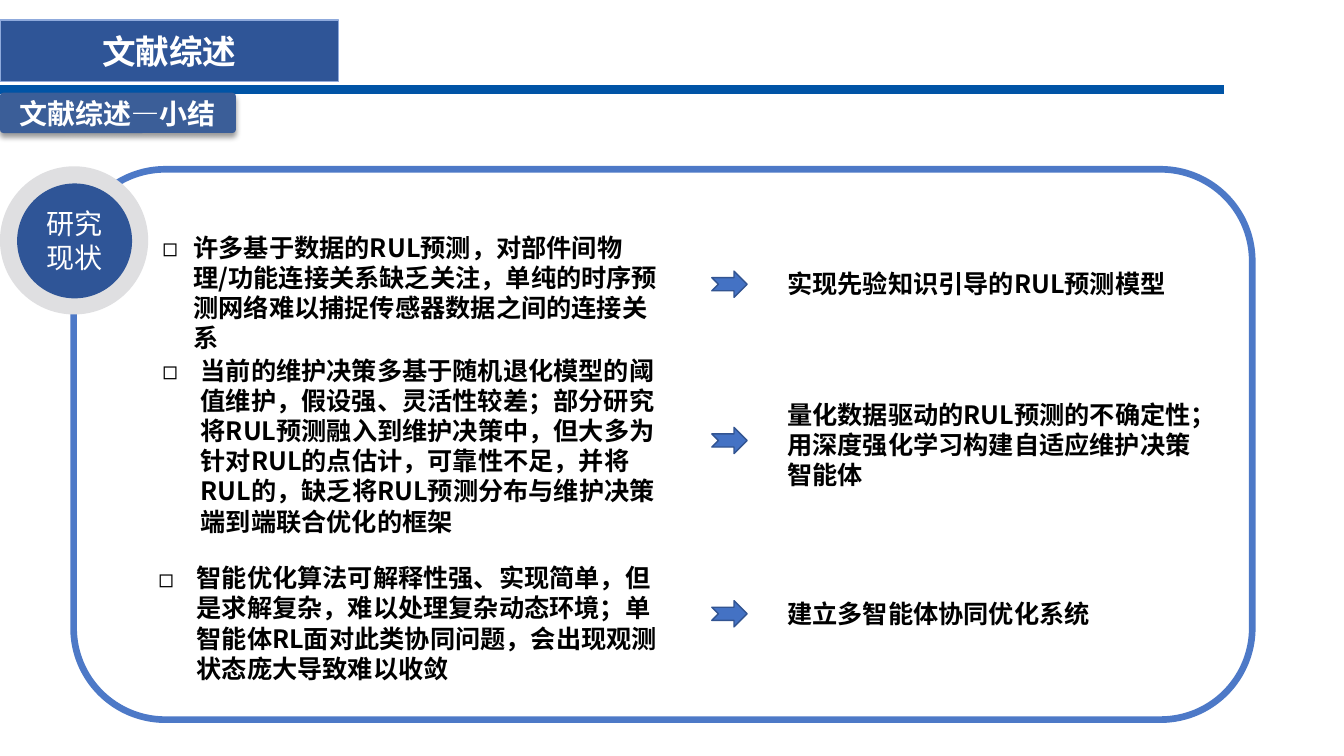
from dataclasses import dataclass

from pptx import Presentation
from pptx.dml.color import RGBColor
from pptx.enum.shapes import MSO_CONNECTOR, MSO_SHAPE as Shape
from pptx.enum.text import MSO_ANCHOR as Anchor, MSO_AUTO_SIZE as AutoSize, PP_ALIGN as Align
from pptx.oxml import parse_xml
from pptx.oxml.ns import nsdecls, qn
from pptx.util import Inches, Pt

FONT = "Noto Sans CJK SC"
LINE_RATIO = 1.2
NAVY, WHITE, BLACK = "2F5597", "FFFFFF", "000000"
ARROW_LEFT, ANSWER_LEFT, ANSWER_WIDTH = 7.06, 7.71, 4.4


@dataclass
class Box:
    left: float
    top: float
    width: float
    height: float

    def lengths(self) -> list:
        return [Inches(n) for n in (self.left, self.top, self.width, self.height)]


@dataclass
class Finding:
    """A research gap, and the answer its arrow leads to."""
    gap: str
    box: Box
    indent: float
    arrow_top: float
    answer: list[str]
    answer_top: float
    answer_height: float


FINDINGS = [
    Finding("许多基于数据的RUL预测，对部件间物理/功能连接关系缺乏关注，单纯的时序预测网络难以捕捉传感器数据之间的连接关系",
            Box(1.51, 2.25, 5.17, 1.01), 0.31, 2.69,
            ["实现先验知识引导的RUL预测模型"], 2.61, 0.4),
    Finding("当前的维护决策多基于随机退化模型的阈值维护，假设强、灵活性较差；部分研究将RUL预测融入到维护决策中，"
            "但大多为针对RUL的点估计，可靠性不足，并将RUL的，缺乏将RUL预测分布与维护决策端到端联合优化的框架",
            Box(1.51, 3.47, 5.22, 1.92), 0.38, 4.24,
            ["量化数据驱动的RUL预测的不确定性；", "用深度强化学习构建自适应维护决策智能体"], 3.91, 1.01),
    Finding("智能优化算法可解释性强、实现简单，但是求解复杂，难以处理复杂动态环境；"
            "单智能体RL面对此类协同问题，会出现观测状态庞大导致难以收敛",
            Box(1.47, 5.53, 5.32, 1.62), 0.38, 5.96,
            ["建立多智能体协同优化系统"], 5.89, 0.4),
]


def color(value: str) -> RGBColor:
    return RGBColor.from_string(value)


def paint(shape, fill: str | None = None, line: str | None = None, weight: float = 1) -> None:
    if fill:
        shape.fill.solid()
        shape.fill.fore_color.rgb = color(fill)
    else:
        shape.fill.background()
    if line:
        shape.line.color.rgb = color(line)
        shape.line.width = Pt(weight)
    else:
        shape.line.fill.background()


def add_shape(shapes, kind: Shape, box: Box, fill: str | None = None,
              line: str | None = None, weight: float = 1):
    shape = shapes.add_shape(kind, *box.lengths())
    shape.shadow.inherit = False
    paint(shape, fill, line, weight)
    return shape


def write(holder, lines: list[str], size: float, ink: str, bold: bool = True,
          align: Align = Align.LEFT, anchor: Anchor = Anchor.TOP, indent: float = 0) -> None:
    frame = holder.text_frame
    frame_format = {"word_wrap": True, "auto_size": AutoSize.NONE, "vertical_anchor": anchor}
    para_format = {"alignment": align, "space_before": Pt(0), "line_spacing": Pt(size * LINE_RATIO)}
    font_format = {"name": FONT, "size": Pt(size), "bold": bold}
    for name, value in frame_format.items():
        setattr(frame, name, value)
    for number, text in enumerate(lines):
        para = frame.add_paragraph() if number else frame.paragraphs[0]
        if indent:
            add_bullet(para, indent)
        for name, value in para_format.items():
            setattr(para, name, value)
        span = para.add_run()
        span.text = text
        for name, value in font_format.items():
            setattr(span.font, name, value)
        span.font.color.rgb = color(ink)
        # East Asian text takes its own typeface element
        span.font._element.find(qn("a:latin")).addnext(
            parse_xml(f'<a:ea {nsdecls("a")} typeface="{FONT}"/>'))


def add_bullet(para, indent: float) -> None:
    props = para._p.get_or_add_pPr()
    props.set("marL", str(Inches(indent)))
    props.set("indent", str(-Inches(indent)))
    props.append(parse_xml(f'<a:buFont {nsdecls("a")} typeface="{FONT}"/>'))
    props.append(parse_xml(f'<a:buChar {nsdecls("a")} char="◻"/>'))


def place(holder, box: Box) -> None:
    holder.left, holder.top, holder.width, holder.height = box.lengths()


def add_header(page) -> None:
    title = page.shapes.title
    place(title, Box(0, 0.2, 3.36, 0.61))
    paint(title, NAVY, "8FAADC")
    write(title, ["文献综述"], 24, WHITE, align=Align.CENTER, anchor=Anchor.MIDDLE)

    rule = page.shapes.add_connector(MSO_CONNECTOR.STRAIGHT, Inches(0), Inches(0.89),
                                     Inches(12.14), Inches(0.89))
    rule.line.color.rgb = color("0054A6")
    rule.line.width = Pt(6)
    rule._element.spPr.append(parse_xml(f'<a:effectLst {nsdecls("a")}/>'))

    tab = add_shape(page.shapes, Shape.ROUNDED_RECTANGLE, Box(0, 0.92, 2.34, 0.4), "3B5E98")
    tab.adjustments[0] = 0.09
    effects = tab._element.spPr.find(qn("a:effectLst"))
    effects.append(parse_xml(
        f'<a:outerShdw {nsdecls("a")} blurRad="{Pt(4)}" dist="{Pt(3)}" dir="5400000" rotWithShape="0">'
        '<a:srgbClr val="000000"><a:alpha val="40000"/></a:srgbClr></a:outerShdw>'))
    write(tab, ["文献综述—小结"], 20, WHITE, align=Align.CENTER, anchor=Anchor.MIDDLE)


def add_panel(page) -> None:
    add_shape(page.shapes, Shape.ROUNDED_RECTANGLE, Box(0.73, 1.68, 11.69, 5.46),
              line="4D79C7", weight=4.75)
    add_shape(page.shapes, Shape.OVAL, Box(0, 1.65, 1.47, 1.47), "DFDFE1")
    badge = page.shapes.add_group_shape()
    add_shape(badge.shapes, Shape.OVAL, Box(0.17, 1.82, 1.14, 1.14), NAVY)
    label = badge.shapes.add_textbox(*Box(0.24, 2, 1, 0.77).lengths())
    write(label, ["研究现状"], 20, WHITE, bold=False, align=Align.CENTER)


def add_finding(page, holder, finding: Finding) -> None:
    place(holder, finding.box)
    write(holder, [finding.gap], 18, BLACK, indent=finding.indent)
    add_shape(page.shapes, Shape.NOTCHED_RIGHT_ARROW,
              Box(ARROW_LEFT, finding.arrow_top, 0.35, 0.26), "4472C4", "325491")
    answer = page.shapes.add_textbox(
        *Box(ANSWER_LEFT, finding.answer_top, ANSWER_WIDTH, finding.answer_height).lengths())
    write(answer, finding.answer, 18, BLACK)


def main() -> None:
    deck = Presentation()
    deck.slide_width, deck.slide_height = Inches(13.33), Inches(7.5)
    # The comparison layout offers a title and four body placeholders
    page = deck.slides.add_slide(deck.slide_layouts[4])
    bodies = [holder for holder in page.placeholders if 1 <= holder.placeholder_format.idx <= 4]

    add_header(page)
    add_panel(page)
    for holder, finding in zip(bodies, FINDINGS):
        add_finding(page, holder, finding)
    for spare in bodies[len(FINDINGS):]:
        spare._element.getparent().remove(spare._element)

    deck.save("out.pptx")


if __name__ == "__main__":
    main()
